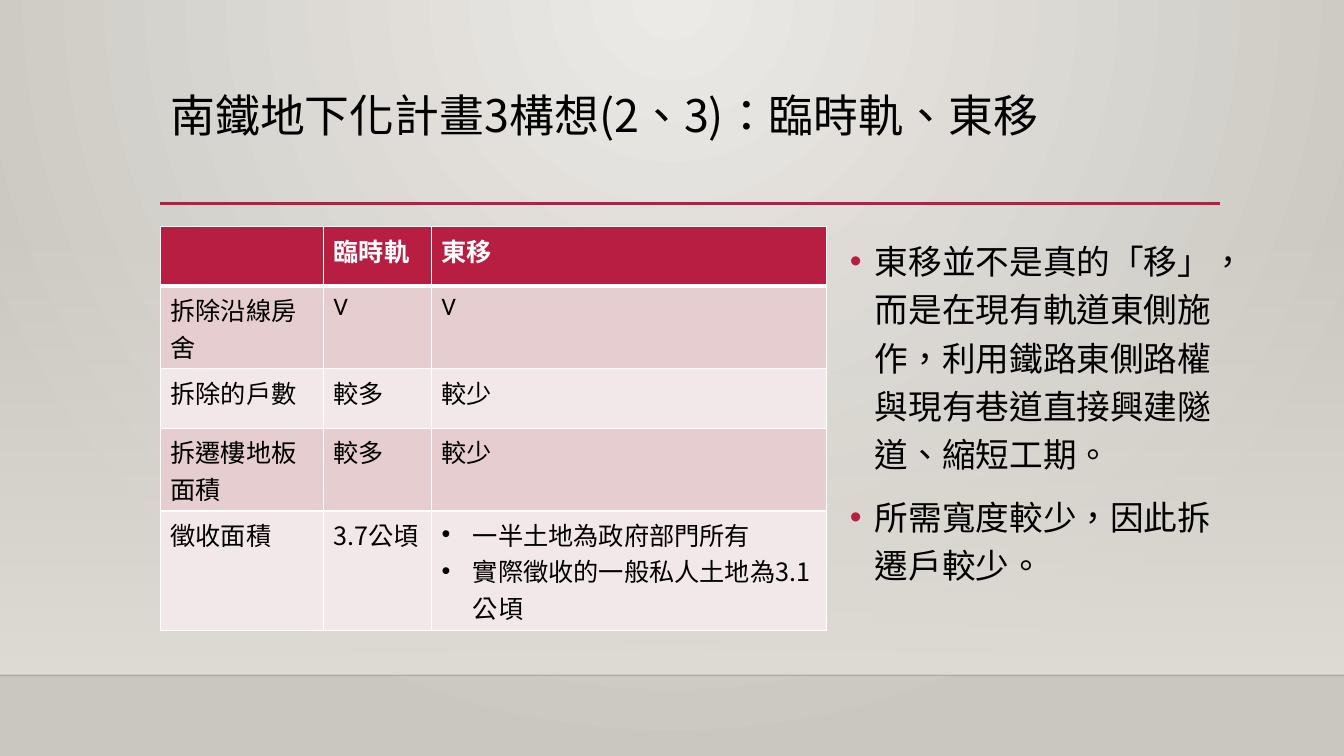
"""Build the slide comparing two railway underground schemes."""
from dataclasses import dataclass

from lxml.etree import SubElement
from pptx import Presentation
from pptx.dml.color import RGBColor
from pptx.enum.shapes import MSO_CONNECTOR, MSO_SHAPE
from pptx.enum.text import MSO_ANCHOR, MSO_AUTO_SIZE, PP_ALIGN
from pptx.oxml import parse_xml
from pptx.oxml.ns import nsdecls, qn
from pptx.util import Inches, Pt

TITLE = "南鐵地下化計畫3構想(2、3)：臨時軌、東移"
POINTS = [
    "東移並不是真的「移」，而是在現有軌道東側施作，利用鐵路東側路權與現有巷道直接興建隧道、縮短工期。",
    "所需寬度較少，因此拆遷戶較少。",
]
ROWS = [
    ("", "臨時軌", "東移"),
    ("拆除沿線房舍", "V", "V"),
    ("拆除的戶數", "較多", "較少"),
    ("拆遷樓地板面積", "較多", "較少"),
    ("徵收面積", "3.7公頃", ["一半土地為政府部門所有", "實際徵收的一般私人土地為3.1公頃"]),
]
COLUMN_WIDTHS = (1.62, 1.07, 3.92)
ROW_HEIGHTS = (0.59, 0.82, 0.59, 0.82, 1.19)
WIDTH, HEIGHT = 13.33, 7.5
LEFT, RULE_Y, RULE_RIGHT = 1.59, 2.02, 12.1
WALL_TOP, FLOOR_Y = 2.21, 6.7


@dataclass(frozen=True)
class Theme:
    accent: str = "B71E42"
    ink: str = "000000"
    white: str = "FFFFFF"
    bands: tuple = ("F3E8E9", "E6CDCF")
    glow: str = "ECEAE7"
    edge: str = "CAC7C1"
    wall: str = "DFDBD5"
    floor_line: str = "000001"
    cjk: str = "Noto Sans CJK SC"
    latin: str = "Calibri"
    language: str = "zh-TW"
    title_size: int = 32
    body_size: int = 24
    cell_size: int = 18


THEME = Theme()


def color(code):
    return RGBColor.from_string(code)


def set_gradient(parent, stops, direction):
    stop_xml = "".join(
        f'<a:gs pos="{place}"><a:srgbClr val="{code}"><a:alpha val="{alpha}"/></a:srgbClr></a:gs>'
        for place, code, alpha in stops
    )
    gradient = parse_xml(
        f'<a:gradFill {nsdecls("a")} rotWithShape="1"><a:gsLst>{stop_xml}</a:gsLst>{direction}</a:gradFill>'
    )
    parent.replace(parent.find(qn("a:solidFill")), gradient)


def format_text(para, size, code, font, bold=False):
    for span in para.runs:
        span.font.size = Pt(size)
        span.font.bold = bold
        span.font.color.rgb = color(code)
        span.font.name = font
        properties = span._r.get_or_add_rPr()
        properties.set("lang", THEME.language)
        SubElement(properties, qn("a:ea"), typeface=THEME.cjk)


def add_bullet(para, indent, code):
    properties = para._p.get_or_add_pPr()
    properties.set("marL", str(Inches(indent)))
    properties.set("indent", str(-Inches(indent)))
    bullet_color = SubElement(properties, qn("a:buClr"))
    SubElement(bullet_color, qn("a:srgbClr"), val=code)
    SubElement(properties, qn("a:buFont"), typeface="Arial")
    SubElement(properties, qn("a:buChar"), char="•")


def add_rule(page, left, right, y, code, width, opacity=100):
    rule = page.shapes.add_connector(
        MSO_CONNECTOR.STRAIGHT, Inches(left), Inches(y), Inches(right), Inches(y)
    )
    rule.line.color.rgb = color(code)
    rule.line.width = Pt(width)
    shade = rule._element.spPr.find(".//" + qn("a:srgbClr"))
    SubElement(shade, qn("a:alpha"), val=str(opacity * 1000))
    SubElement(rule._element.spPr, qn("a:effectLst"))


def add_backdrop(page):
    page.background.fill.solid()
    set_gradient(
        page.element.find(".//" + qn("p:bgPr")),
        [(0, THEME.glow, 100000), (100000, THEME.edge, 100000)],
        '<a:path path="circle"><a:fillToRect l="43000" t="0" r="43000" b="100000"/></a:path>',
    )
    wall = page.shapes.add_shape(
        MSO_SHAPE.RECTANGLE, 0, Inches(WALL_TOP), Inches(WIDTH), Inches(FLOOR_Y - WALL_TOP)
    )
    wall.shadow.inherit = False
    wall.line.fill.background()
    wall.fill.solid()
    set_gradient(
        wall._element.spPr,
        [(0, THEME.wall, 0), (100000, THEME.wall, 100000)],
        '<a:lin ang="5400000" scaled="0"/>',
    )
    add_rule(page, 0, WIDTH, FLOOR_Y, THEME.floor_line, 1, 20)
    add_rule(page, LEFT, RULE_RIGHT, RULE_Y, THEME.accent, 2.5)


def add_title(page):
    title = page.shapes.title
    title.left, title.top = Inches(LEFT), Inches(0.88)
    title.width, title.height = Inches(10.5), Inches(1.15)
    frame = title.text_frame
    frame.text = TITLE
    frame.auto_size = MSO_AUTO_SIZE.NONE
    frame.vertical_anchor = MSO_ANCHOR.TOP
    para = frame.paragraphs[0]
    para.alignment = PP_ALIGN.LEFT
    para.line_spacing = 0.9
    format_text(para, THEME.title_size, THEME.ink, THEME.cjk)


def add_points(page):
    box = page.shapes.add_textbox(Inches(8.33), Inches(2.26), Inches(4.03), Inches(3.9))
    frame = box.text_frame
    frame.word_wrap = True
    frame.text = "\n".join(POINTS)
    for para in frame.paragraphs:
        para.line_spacing = 1.2
        para.space_before = Pt(10)
        add_bullet(para, 0.25, THEME.accent)
        format_text(para, THEME.body_size, THEME.ink, THEME.cjk)


def set_borders(cell, row):
    properties = cell._tc.get_or_add_tcPr()
    widths = {"L": 1, "R": 1, "T": 3 if row == 1 else 1, "B": 3 if row == 0 else 1}
    for side, width in widths.items():
        border = SubElement(properties, qn(f"a:ln{side}"), w=str(Pt(width)))
        fill = SubElement(border, qn("a:solidFill"))
        SubElement(fill, qn("a:srgbClr"), val=THEME.white)


def fill_cell(cell, content, row):
    header = row == 0
    set_borders(cell, row)
    cell.fill.solid()
    cell.fill.fore_color.rgb = color(THEME.accent if header else THEME.bands[row % 2])
    listed = isinstance(content, list)
    cell.text_frame.text = "\n".join(content) if listed else content
    font = THEME.latin if header or content == "V" else THEME.cjk
    for para in cell.text_frame.paragraphs:
        if listed:
            add_bullet(para, 0.31, THEME.ink)
        format_text(para, THEME.cell_size, THEME.white if header else THEME.ink, font, header)


def add_comparison(page):
    table = page.shapes.add_table(
        len(ROWS), len(COLUMN_WIDTHS), Inches(LEFT), Inches(2.25),
        Inches(sum(COLUMN_WIDTHS)), Inches(sum(ROW_HEIGHTS)),
    ).table
    for column, width in zip(table.columns, COLUMN_WIDTHS):
        column.width = Inches(width)
    for row, (height, contents) in enumerate(zip(ROW_HEIGHTS, ROWS)):
        table.rows[row].height = Inches(height)
        for column, content in enumerate(contents):
            fill_cell(table.cell(row, column), content, row)


def main():
    deck = Presentation()
    deck.slide_width, deck.slide_height = Inches(WIDTH), Inches(HEIGHT)
    page = deck.slides.add_slide(deck.slide_layouts[5])
    add_backdrop(page)
    add_title(page)
    add_points(page)
    add_comparison(page)
    deck.save("out.pptx")


if __name__ == "__main__":
    main()
